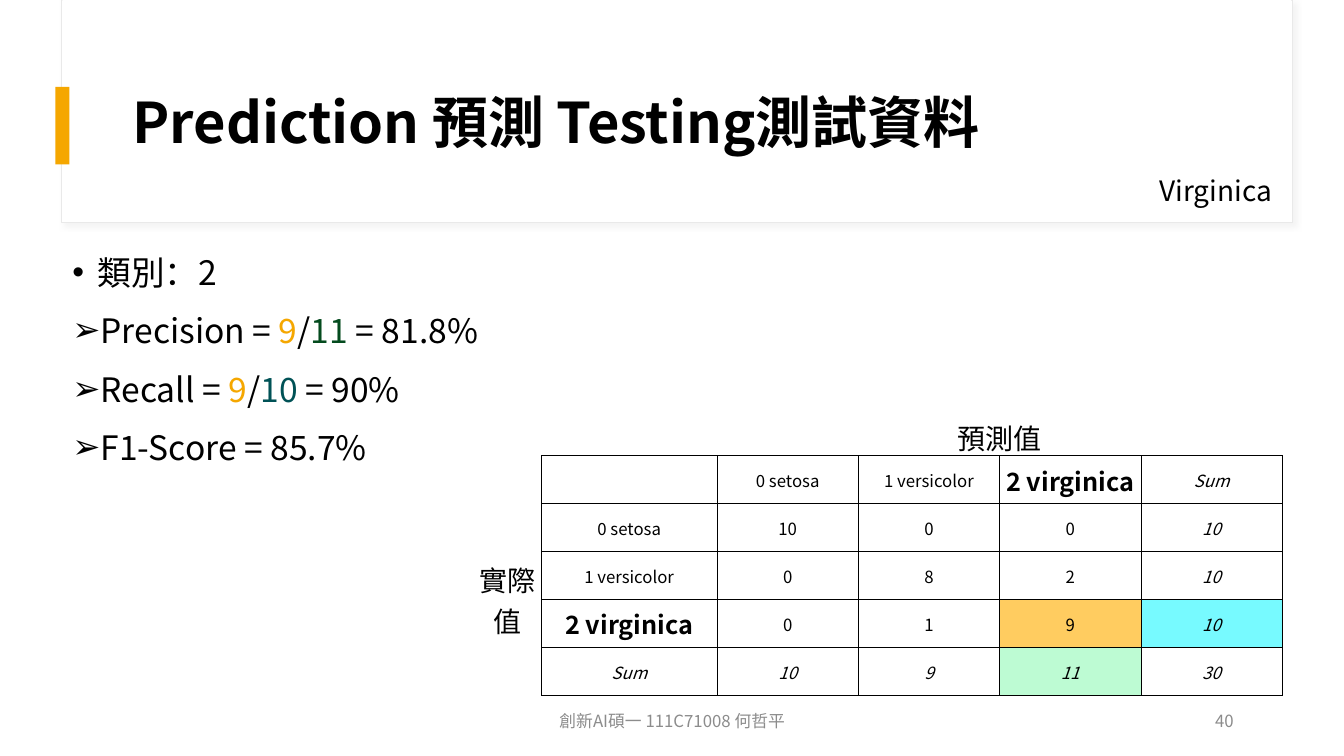
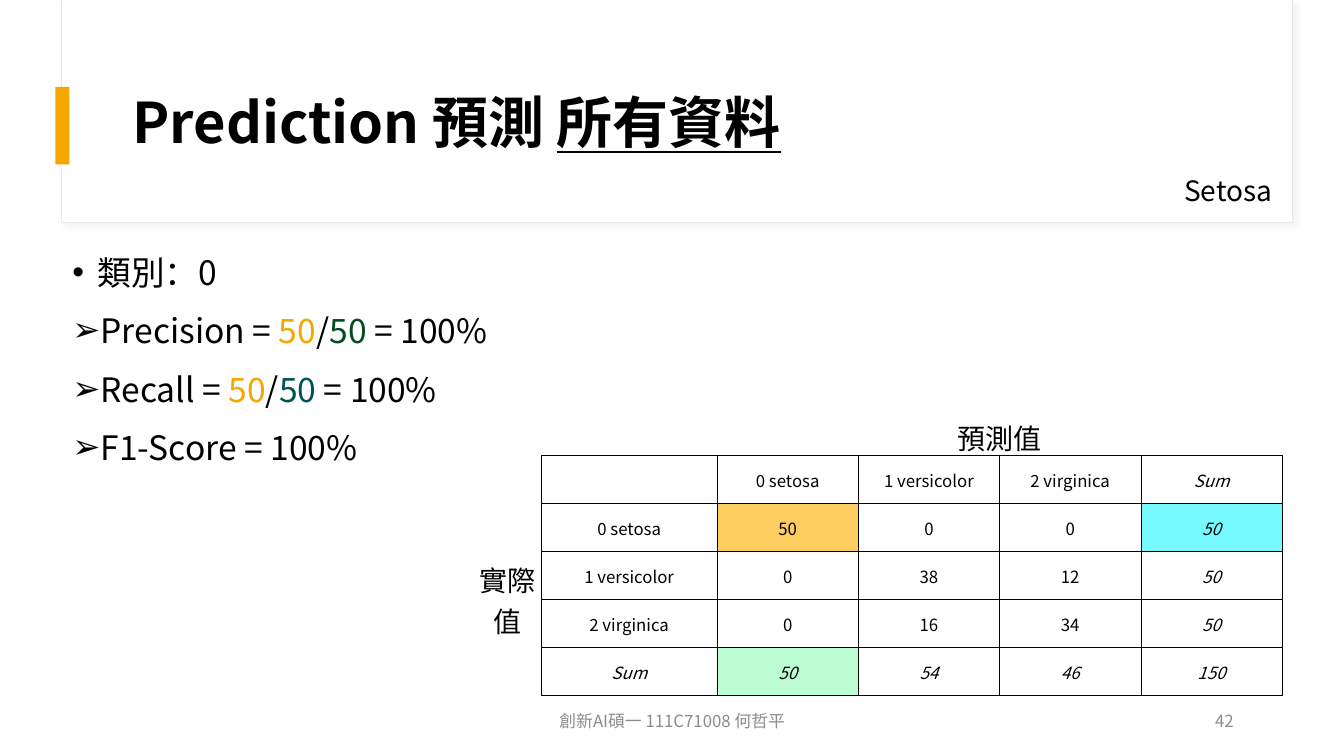
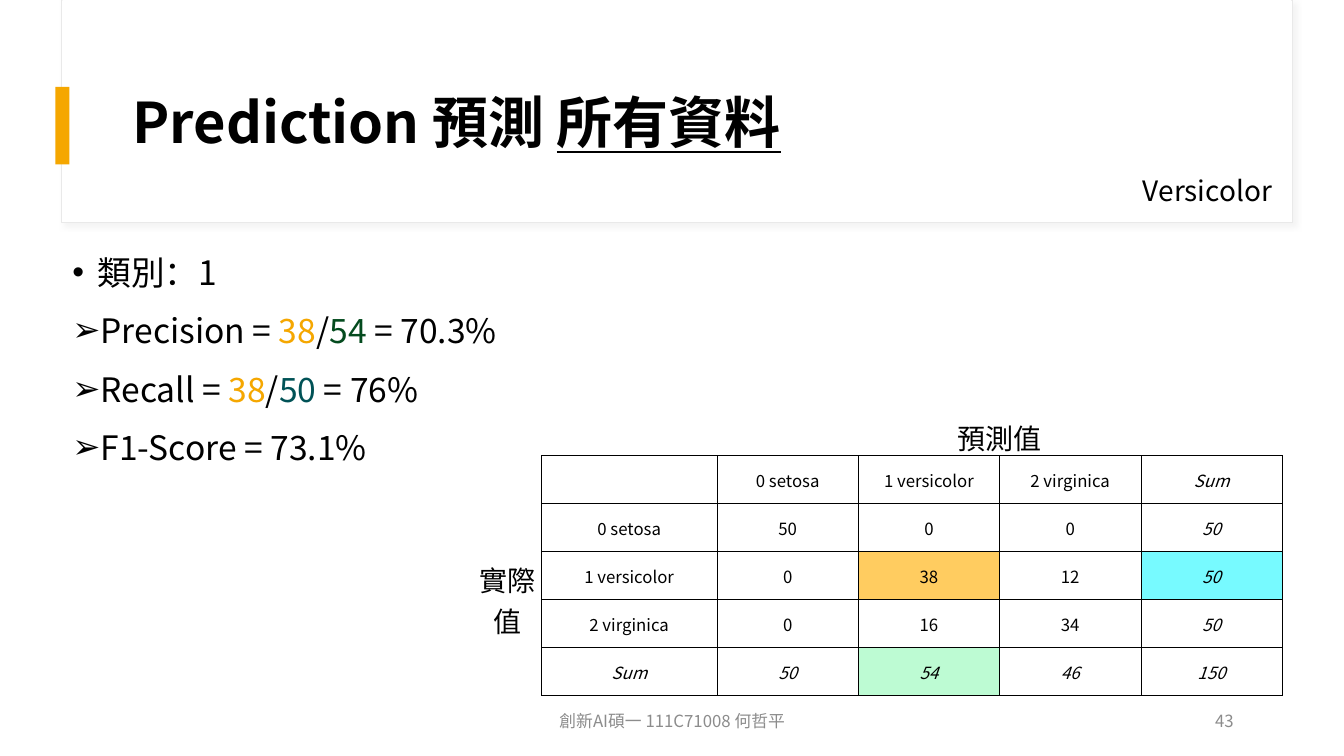
from dataclasses import dataclass

from lxml.etree import SubElement
from pptx import Presentation
from pptx.dml.color import RGBColor
from pptx.enum.shapes import MSO_SHAPE
from pptx.enum.text import MSO_ANCHOR, MSO_AUTO_SIZE, PP_ALIGN
from pptx.oxml.ns import qn
from pptx.util import Pt


@dataclass(frozen=True)
class Theme:
    """Colours, font and type sizes of the deck."""
    font: str = "Noto Sans CJK SC"
    text: str = "000000"
    paper: str = "FFFFFF"
    band_line: str = "E9E9E9"
    band_shadow: str = "D9D9D9"
    accent: str = "F5A700"
    predicted: str = "044B1E"
    actual: str = "005256"
    muted: str = "8C8C8C"
    hit_fill: str = "FFCC60"
    actual_fill: str = "77FAFF"
    predicted_fill: str = "BDFBD3"
    title_size: int = 40
    body_size: int = 24
    label_size: int = 20
    strong_size: int = 18
    small_size: int = 12


@dataclass(frozen=True)
class Report:
    """Scores and confusion matrix of one class."""
    title: tuple
    species: str
    category: int
    precision: str
    recall: str
    score: str
    matrix: tuple
    number: int
    strong: bool = False


THEME = Theme()
CLASSES = ("0 setosa", "1 versicolor", "2 virginica")
FOOTER = "創新AI碩一 111C71008 何哲平"
TESTING = ((10, 0, 0), (0, 8, 2), (0, 1, 9))
ALL_DATA = ((50, 0, 0), (0, 38, 12), (0, 16, 34))
TESTING_TITLE = (("Prediction 預測 Testing測試資料", False),)
ALL_DATA_TITLE = (("Prediction 預測 ", False), ("所有資料", True))

REPORTS = (
    Report(TESTING_TITLE, "Virginica", 2, "81.8%", "90%", "85.7%", TESTING, 40, True),
    Report(ALL_DATA_TITLE, "Setosa", 0, "100%", "100%", "100%", ALL_DATA, 42),
    Report(ALL_DATA_TITLE, "Versicolor", 1, "70.3%", "76%", "73.1%", ALL_DATA, 43),
)


def write(paragraph, text, size=THEME.small_size, color=THEME.text, bold=False,
          italic=False, underline=False, align=None):
    """Append one formatted run to a paragraph."""
    run = paragraph.add_run()
    run.text = text
    font = run.font
    font.name, font.size = THEME.font, Pt(size)
    font.bold, font.italic, font.underline = bold, italic, underline
    font.color.rgb = RGBColor.from_string(color)
    properties = font._element
    properties.find(qn("a:latin")).addnext(
        properties.makeelement(qn("a:ea"), {"typeface": THEME.font}))
    if align is not None:
        paragraph.alignment = align


def add_frame(slide, box, anchor=MSO_ANCHOR.TOP):
    """Add a wrapping text box and return its text frame."""
    frame = slide.shapes.add_textbox(*map(Pt, box)).text_frame
    frame.word_wrap = True
    frame.vertical_anchor = anchor
    return frame


def add_panel(slide, box, fill, line=None):
    """Add a plain rectangle."""
    shape = slide.shapes.add_shape(MSO_SHAPE.RECTANGLE, *map(Pt, box))
    shape.shadow.inherit = False
    shape.fill.solid()
    shape.fill.fore_color.rgb = RGBColor.from_string(fill)
    if line:
        shape.line.color.rgb = RGBColor.from_string(line)
        shape.line.width = Pt(0.75)
    else:
        shape.line.fill.background()
    return shape


def add_soft_shadow(shape):
    """Give a shape a faint shadow to the lower right."""
    effects = shape._element.spPr.find(qn("a:effectLst"))
    shadow = SubElement(effects, qn("a:outerShdw"), blurRad=str(Pt(4)), dist=str(Pt(3)),
                        dir=str(45 * 60000), algn="tl", rotWithShape="0")
    color = SubElement(shadow, qn("a:srgbClr"), val=THEME.band_shadow)
    SubElement(color, qn("a:alpha"), val="30000")


def add_header(slide, box, report):
    """Draw the title band with its accent bar, title and species."""
    left, top, width, height = box
    add_soft_shadow(add_panel(slide, box, THEME.paper, THEME.band_line))
    add_panel(slide, (left + 0.5, top, width - 1, height - 0.5), THEME.paper)
    add_panel(slide, (left - 4.5, top + 62, 10, 55.5), THEME.accent)
    title = add_frame(slide, (left + 43.7, top + 43.2, 800.6, 92.9), MSO_ANCHOR.MIDDLE)
    paragraph = title.paragraphs[0]
    paragraph.line_spacing = 0.9
    for text, underline in report.title:
        write(paragraph, text, size=THEME.title_size, bold=True, underline=underline)
    species = add_frame(slide, (left + width - 148.2, top + 120.2, 141, 31.7))
    species.auto_size = MSO_AUTO_SIZE.SHAPE_TO_FIT_TEXT
    write(species.paragraphs[0], report.species, size=THEME.label_size, align=PP_ALIGN.RIGHT)


def set_bullet(paragraph, symbol):
    """Give a paragraph a hanging bullet."""
    properties = paragraph._p.get_or_add_pPr()
    properties.set("marL", str(Pt(18)))
    properties.set("indent", str(-Pt(18)))
    SubElement(properties, qn("a:buFont"), typeface="Arial")
    SubElement(properties, qn("a:buChar"), char=symbol)


def add_scores(slide, box, report):
    """List the class with its precision, recall and F1 score."""
    category = report.category
    hits = str(report.matrix[category][category])
    predicted = str(sum(row[category] for row in report.matrix))
    actual = str(sum(report.matrix[category]))
    lines = (
        ("•", ((f"類別：{category}", THEME.text),)),
        ("➢", (("Precision = ", THEME.text), (hits, THEME.accent), ("/", THEME.text),
               (predicted, THEME.predicted), (f" = {report.precision}", THEME.text))),
        ("➢", (("Recall = ", THEME.text), (hits, THEME.accent), ("/", THEME.text),
               (actual, THEME.actual), (f" = {report.recall}", THEME.text))),
        ("➢", ((f"F1-Score = {report.score}", THEME.text),)),
    )
    frame = add_frame(slide, box)
    for index, (symbol, parts) in enumerate(lines):
        paragraph = frame.add_paragraph() if index else frame.paragraphs[0]
        paragraph.line_spacing = 1.1
        paragraph.space_before = Pt(10)
        set_bullet(paragraph, symbol)
        for text, color in parts:
            write(paragraph, text, size=THEME.body_size, color=color)


def set_borders(cell, edges):
    """Draw the named edges of a cell and blank the others."""
    properties = cell._tc.get_or_add_tcPr()
    for edge in "LRTB":
        line = SubElement(properties, qn(f"a:ln{edge}"), w=str(Pt(0.5)))
        if edge in edges:
            fill = SubElement(line, qn("a:solidFill"))
            SubElement(fill, qn("a:srgbClr"), val=THEME.text)
        else:
            SubElement(line, qn("a:noFill"))


def format_cell(cell, row, column, fill):
    """Set the margins, borders and fill of a cell by its place in the grid."""
    cell.margin_left = cell.margin_right = cell.margin_top = Pt(0.7)
    cell.margin_bottom = Pt(0)
    cell.vertical_anchor = MSO_ANCHOR.MIDDLE
    inner_row, inner_column = row > 0, column > 0
    edges = ("R" * inner_row + "B" * inner_column
             + "LT" * (inner_row and inner_column))
    set_borders(cell, edges)
    if fill:
        cell.fill.solid()
        cell.fill.fore_color.rgb = RGBColor.from_string(fill)
    else:
        cell.fill.background()


def add_confusion_table(slide, box, report):
    """Draw the confusion matrix with sums and axis labels."""
    rows = [(name, *counts, sum(counts)) for name, counts in zip(CLASSES, report.matrix)]
    totals = [sum(counts) for counts in zip(*report.matrix)]
    grid = [("", *CLASSES, "Sum"), *rows, ("Sum", *totals, sum(totals))]
    size = len(grid) + 1
    last = size - 1
    left, top, width, height = box
    table = slide.shapes.add_table(size, size, *map(Pt, box)).table
    table.first_row = table.horz_banding = False
    axis_width, name_width, axis_height = 49, 125.6, 28
    count_width = (width - axis_width - name_width) / (size - 2)
    widths = [axis_width, name_width] + [count_width] * (size - 2)
    heights = [axis_height] + [(height - axis_height) / last] * last
    for column, value in zip(table.columns, widths):
        column.width = Pt(value)
    for row, value in zip(table.rows, heights):
        row.height = Pt(value)

    focus = report.category + 2
    fills = {(focus, focus): THEME.hit_fill, (focus, last): THEME.actual_fill,
             (last, focus): THEME.predicted_fill}
    headings = {(1, focus), (focus, 1)} if report.strong else set()
    for row in range(size):
        for column in range(size):
            cell = table.cell(row, column)
            format_cell(cell, row, column, fills.get((row, column)))
            text = str(grid[row - 1][column - 1]) if row and column else ""
            if text:
                strong = (row, column) in headings
                write(cell.text_frame.paragraphs[0], text, bold=strong,
                      size=THEME.strong_size if strong else THEME.small_size,
                      italic=last in (row, column), align=PP_ALIGN.CENTER)

    predicted_axis, actual_axis = table.cell(0, 2), table.cell(2, 0)
    predicted_axis.merge(table.cell(0, last))
    actual_axis.merge(table.cell(last, 0))
    actual_axis._tc.get_or_add_tcPr().set("vert", "eaVert")
    for cell, text in ((predicted_axis, "預測值"), (actual_axis, "實際值")):
        write(cell.text_frame.paragraphs[0], text, size=THEME.label_size,
              align=PP_ALIGN.CENTER)


def add_footer(slide, box, number):
    """Place the author line and the page number."""
    left, top, width, height = box
    number_width = 216
    parts = (
        (left + width - number_width, number_width, str(number), PP_ALIGN.RIGHT),
        (left, 324, FOOTER, PP_ALIGN.CENTER),
    )
    for part_left, part_width, text, align in parts:
        frame = add_frame(slide, (part_left, top, part_width, height), MSO_ANCHOR.MIDDLE)
        write(frame.paragraphs[0], text, color=THEME.muted, align=align)


def add_report_slide(presentation, report):
    """Build the slide of one report."""
    slide = presentation.slides.add_slide(presentation.slide_layouts[6])
    add_header(slide, (44, 0, 879, 159), report)
    add_scores(slide, (44.6, 173.5, 800.6, 290.9), report)
    add_footer(slide, (318.2, 500.4, 570.2, 28.8), report.number)
    add_confusion_table(slide, (337.7, 297.4, 578.2, 199.4), report)


def main():
    """Build and save the deck."""
    presentation = Presentation()
    presentation.slide_width, presentation.slide_height = Pt(960), Pt(540)
    for report in REPORTS:
        add_report_slide(presentation, report)
    presentation.save("out.pptx")


if __name__ == "__main__":
    main()
